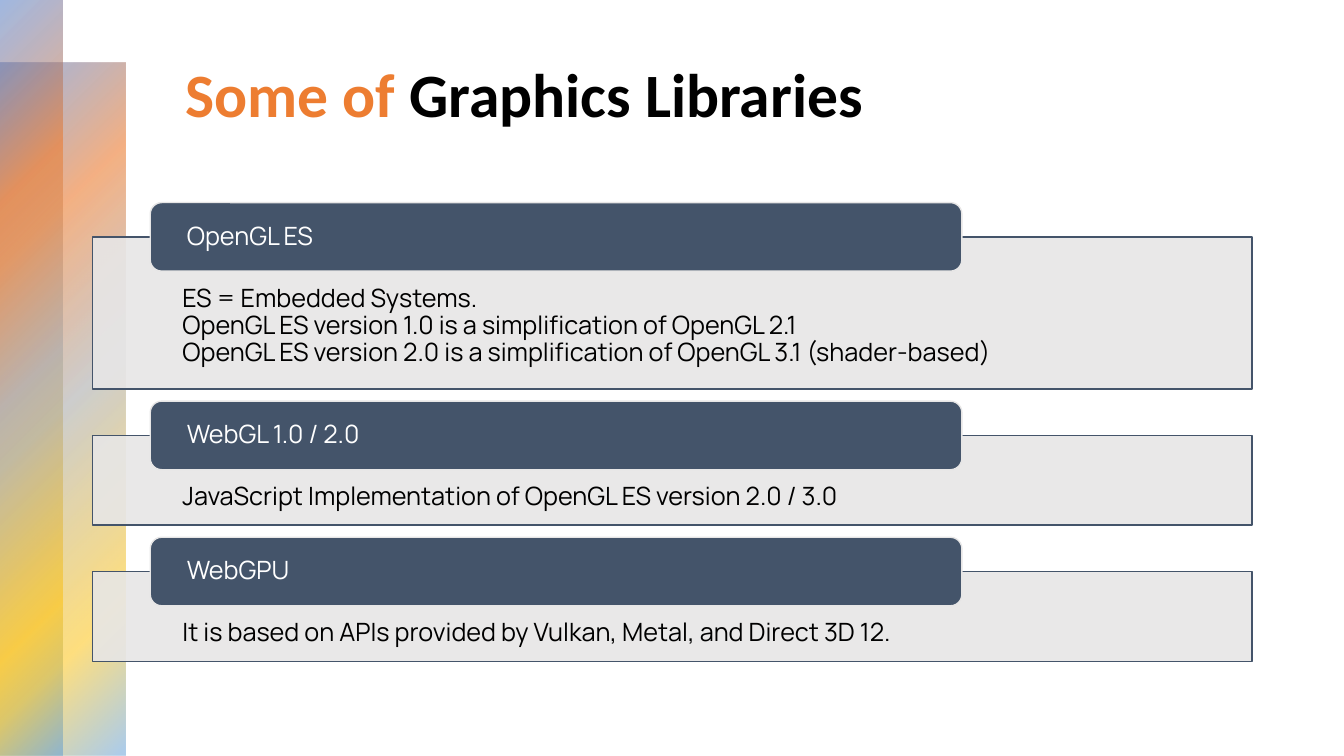
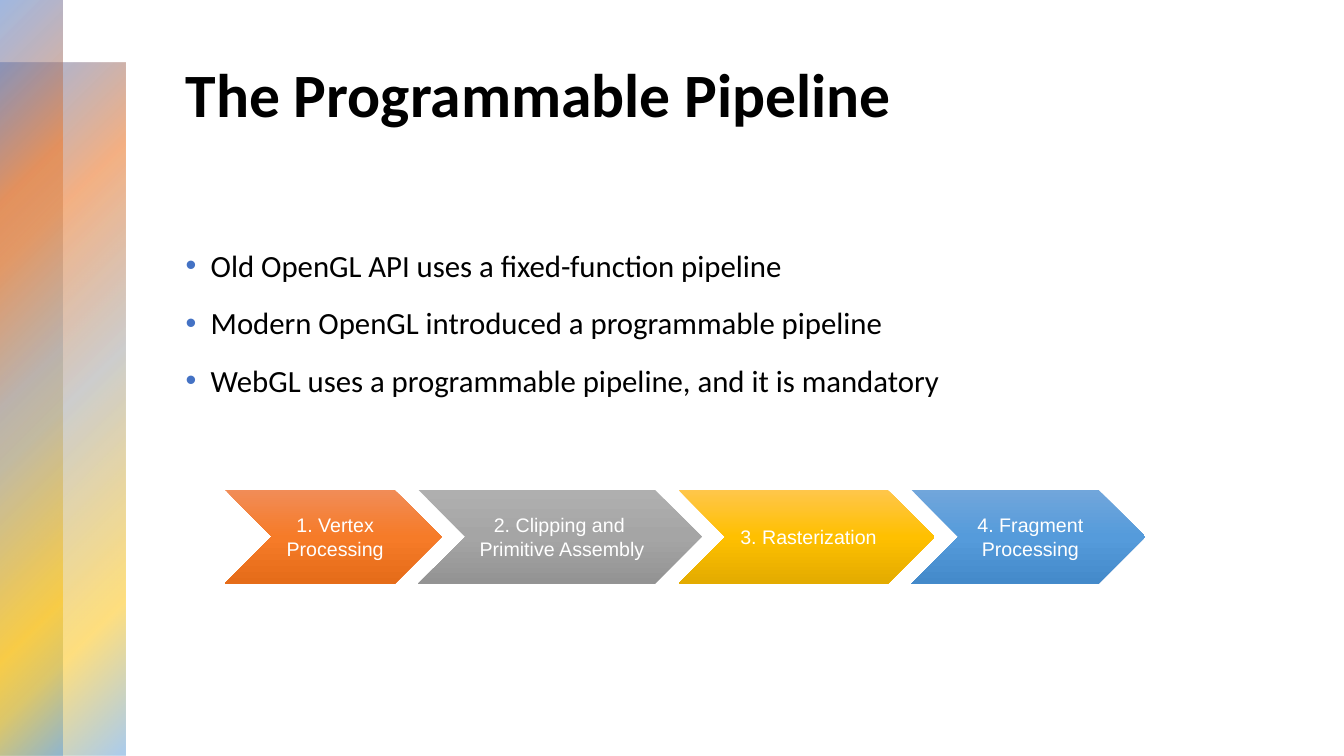
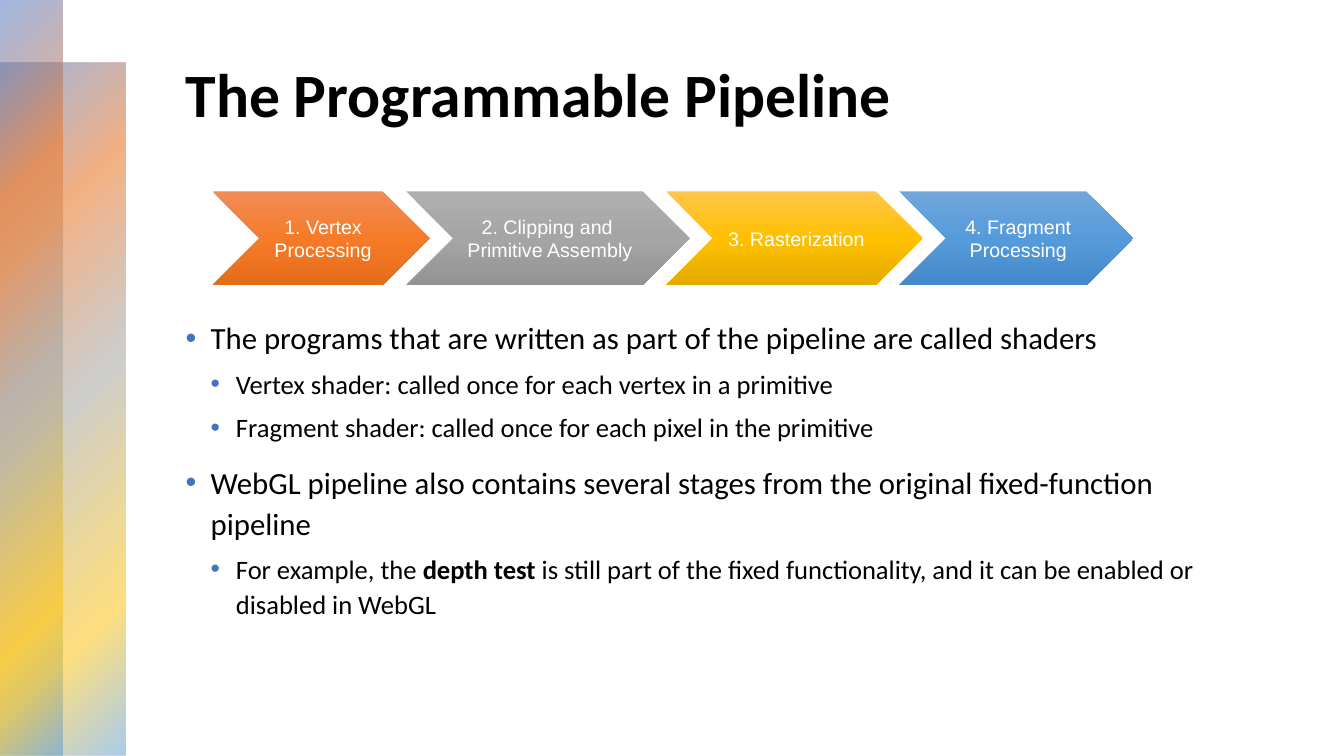
from pptx import Presentation
from pptx.dml.color import RGBColor
from pptx.enum import shapes, text
from pptx.oxml import parse_xml
from pptx.oxml.ns import nsdecls, qn
from pptx.util import Inches, Pt

# Content
LIBRARIES_TITLE = [("Some of ", "ED7D31"), ("Graphics Libraries", "000000")]
LIBRARIES = [
    ("OpenGL ES", [
        "ES = Embedded Systems.",
        "OpenGL ES version 1.0 is a simplification of OpenGL 2.1",
        "OpenGL ES version 2.0 is a simplification of OpenGL 3.1 (shader-based)",
    ]),
    ("WebGL 1.0 / 2.0", ["JavaScript Implementation of OpenGL ES version 2.0 / 3.0"]),
    ("WebGPU", ["It is based on APIs provided by Vulkan, Metal, and Direct 3D 12."]),
]

PIPELINE_TITLE = [("The Programmable Pipeline", "000000")]
STAGES = [  # label, width, gradient from top to bottom
    ("1. Vertex Processing", 2.15, ("F18C57", "F67B28", "E56C19")),
    ("2. Clipping and \vPrimitive Assembly", 2.81, ("AFAFAF", "A5A5A5", "939393")),
    ("3. Rasterization", 2.54, ("FFC64B", "FFC000", "E3AB00")),
    ("4. Fragment Processing", 2.32, ("71A6DB", "559BDB", "448ACA")),
]

# Bullets: level, then text pieces; every second piece is bold
PIPELINE_HISTORY = [
    (0, ["Old OpenGL API uses a fixed-function pipeline"]),
    (0, ["Modern OpenGL introduced a programmable pipeline"]),
    (0, ["WebGL uses a programmable pipeline, and it is mandatory"]),
]
SHADERS = [
    (0, ["The programs that are written as part of the pipeline are called shaders"]),
    (1, ["Vertex shader: called once for each vertex in a primitive"]),
    (1, ["Fragment shader: called once for each pixel in the primitive"]),
    (0, ["WebGL pipeline also contains several stages from the original "
         "fixed-function pipeline"]),
    (1, ["For example, the ", "depth test",
         " is still part of the fixed functionality, and it can be enabled or "
         "disabled in WebGL"]),
]

# Shared look
SLATE, PALE, BLACK, WHITE, BULLET = "44546A", "E7E6E6", "000000", "FFFFFF", "4472C4"
BANDS = [(0, 0.62, 1.24, 6.88), (0, 0, 0.62, 7.5)]
BAND_STOPS = [(0, "4472C4", 50), (25, "ED7D31", 60), (50, "A5A5A5", 55),
              (81, "FFC000", 50), (99, "5B9BD5", 50)]
BAND_DIRECTION = '<a:path path="circle"><a:fillToRect r="100000" b="100000"/></a:path>'
DOWNWARD = '<a:lin ang="5400000" scaled="0"/>'
TITLE_BOX = (1.74, 0.5, 10.37, 1.7)
BODY_BOX = (1.74, 2.36, 10.37, 4.29)
LOW_BODY_BOX = (1.74, 3.08, 10.37, 3.58)
BODY_LEVELS = [(22, 12, 0.25), (19, 6, 0.5)]  # size, space before, indent


def rgb(value):
    return RGBColor.from_string(value)


def place(shape, box):
    shape.left, shape.top, shape.width, shape.height = map(Inches, box)


def add_box(slide, kind, box, fill, line=None):
    shape = slide.shapes.add_shape(kind, *map(Inches, box))
    shape.shadow.inherit = False
    shape.fill.solid()
    shape.fill.fore_color.rgb = rgb(fill)
    if line:
        shape.line.color.rgb = rgb(line)
        shape.line.width = Pt(1)
    else:
        shape.line.fill.background()
    return shape


def set_gradient(shape, stops, direction):
    marks = "".join(
        f'<a:gs pos="{at * 1000}"><a:srgbClr val="{color}">'
        f'<a:alpha val="{opacity * 1000}"/></a:srgbClr></a:gs>'
        for at, color, opacity in stops)
    properties = shape._element.spPr
    properties.replace(properties.find(qn("a:solidFill")), parse_xml(
        f'<a:gradFill {nsdecls("a")} rotWithShape="1">'
        f'<a:gsLst>{marks}</a:gsLst>{direction}</a:gradFill>'))


def set_opacity(shape, percent):
    color = shape._element.spPr.find(qn("a:solidFill"))[0]
    color.append(parse_xml(f'<a:alpha {nsdecls("a")} val="{percent * 1000}"/>'))


def write(shape, content, font, size, color, insets, anchor, align, spacing=1.0):
    frame = shape.text_frame
    frame.text = content
    frame.word_wrap = True
    frame.vertical_anchor = anchor
    (frame.margin_left, frame.margin_top,
     frame.margin_right, frame.margin_bottom) = map(Inches, insets)
    for paragraph in frame.paragraphs:
        paragraph.alignment = align
        paragraph.line_spacing = spacing
        for run in paragraph.runs:
            run.font.name, run.font.size = font, Pt(size)
            run.font.color.rgb = rgb(color)


def set_level_style(styles, level, size, extra="", bold=0, attributes=""):
    tag = f"lvl{level}pPr"
    styles.replace(styles.find(qn(f"a:{tag}")), parse_xml(
        f'<a:{tag} {nsdecls("a")} algn="l" {attributes}>{extra}'
        f'<a:defRPr sz="{size * 100}" b="{bold}"><a:solidFill>'
        f'<a:srgbClr val="{BLACK}"/></a:solidFill>'
        f'<a:latin typeface="Calibri"/></a:defRPr></a:{tag}>'))


def style_master(prs):
    master = prs.slide_master
    kinds = shapes.PP_PLACEHOLDER
    for kind, box in ((kinds.TITLE, TITLE_BOX), (kinds.BODY, BODY_BOX)):
        holder = master.placeholders.get(kind)
        place(holder, box)
        holder.text_frame.vertical_anchor = text.MSO_ANCHOR.TOP
        holder.text_frame.auto_size = text.MSO_AUTO_SIZE.NONE
    set_level_style(master.element.find(".//" + qn("p:titleStyle")), 1, 44, bold=1)
    body_style = master.element.find(".//" + qn("p:bodyStyle"))
    for level, (size, before, indent) in enumerate(BODY_LEVELS, 1):
        set_level_style(
            body_style, level, size,
            '<a:lnSpc><a:spcPct val="110000"/></a:lnSpc>'
            f'<a:spcBef><a:spcPts val="{before * 100}"/></a:spcBef>'
            f'<a:buClr><a:srgbClr val="{BULLET}"/></a:buClr>'
            '<a:buFont typeface="Arial"/><a:buChar char="•"/>',
            attributes=f'marL="{Inches(indent)}" indent="{-Inches(0.25)}"')


def move_bands_to_master(prs, slide):
    tree = prs.slide_master.shapes._spTree
    for position, box in enumerate(BANDS, 2):
        band = add_box(slide, shapes.MSO_SHAPE.RECTANGLE, box, WHITE)
        set_gradient(band, BAND_STOPS, BAND_DIRECTION)
        tree.insert(position, band._element)


def add_slide(prs, layout, title):
    slide = prs.slides.add_slide(prs.slide_layouts.get_by_name(layout))
    heading = slide.shapes.title.text_frame.paragraphs[0]
    for piece, color in title:
        run = heading.add_run()
        run.text = piece
        run.font.color.rgb = rgb(color)
    return slide


def fill_body(slide, bullets, box=BODY_BOX):
    body = slide.placeholders[1]
    place(body, box)
    frame = body.text_frame
    for index, (level, pieces) in enumerate(bullets):
        bullet = frame.add_paragraph() if index else frame.paragraphs[0]
        bullet.level = level
        for number, piece in enumerate(pieces):
            run = bullet.add_run()
            run.text = piece
            if number % 2:
                run.font.bold = True


def add_libraries(slide):
    top, gap = 2.35, 0.46
    for name, facts in LIBRARIES:
        height = 0.58 + 0.31 * len(facts)
        panel = add_box(slide, shapes.MSO_SHAPE.RECTANGLE,
                        (0.92, top, 11.5, height), PALE, SLATE)
        set_opacity(panel, 90)
        write(panel, "\n".join(facts), "Manrope", 18, BLACK, (0.89, 0.48, 0.89, 0.14),
              text.MSO_ANCHOR.TOP, text.PP_ALIGN.LEFT, 0.9)
        tab = add_box(slide, shapes.MSO_SHAPE.ROUNDED_RECTANGLE,
                      (1.49, top - 0.34, 8.05, 0.68), SLATE, PALE)
        write(tab, name, "Manrope", 18, WHITE, (0.33, 0, 0.33, 0),
              text.MSO_ANCHOR.MIDDLE, text.PP_ALIGN.LEFT, 0.9)
        top += height + gap


def add_stages(slide, left, top):
    overlap = 0.23
    for label, width, colors in STAGES:
        stage = add_box(slide, shapes.MSO_SHAPE.CHEVRON,
                        (left, top, width, 0.93), colors[1])
        set_gradient(stage, [(at, color, 100) for at, color in zip((0, 50, 100), colors)],
                     DOWNWARD)
        write(stage, label, "Arial", 14, WHITE, (0.06, 0.02, 0.02, 0.02),
              text.MSO_ANCHOR.MIDDLE, text.PP_ALIGN.CENTER)
        left += width - overlap


def main():
    prs = Presentation()
    prs.slide_width, prs.slide_height = Inches(13.33), Inches(7.5)
    style_master(prs)

    # Graphics libraries
    libraries = add_slide(prs, "Title Only", LIBRARIES_TITLE)
    move_bands_to_master(prs, libraries)
    add_libraries(libraries)

    # Pipeline history
    history = add_slide(prs, "Title and Content", PIPELINE_TITLE)
    fill_body(history, PIPELINE_HISTORY)
    add_stages(history, 2.23, 4.86)

    # Shaders in the pipeline
    shaders = add_slide(prs, "Title and Content", PIPELINE_TITLE)
    fill_body(shaders, SHADERS, LOW_BODY_BOX)
    add_stages(shaders, 2.11, 1.9)

    prs.save("out.pptx")


if __name__ == "__main__":
    main()
